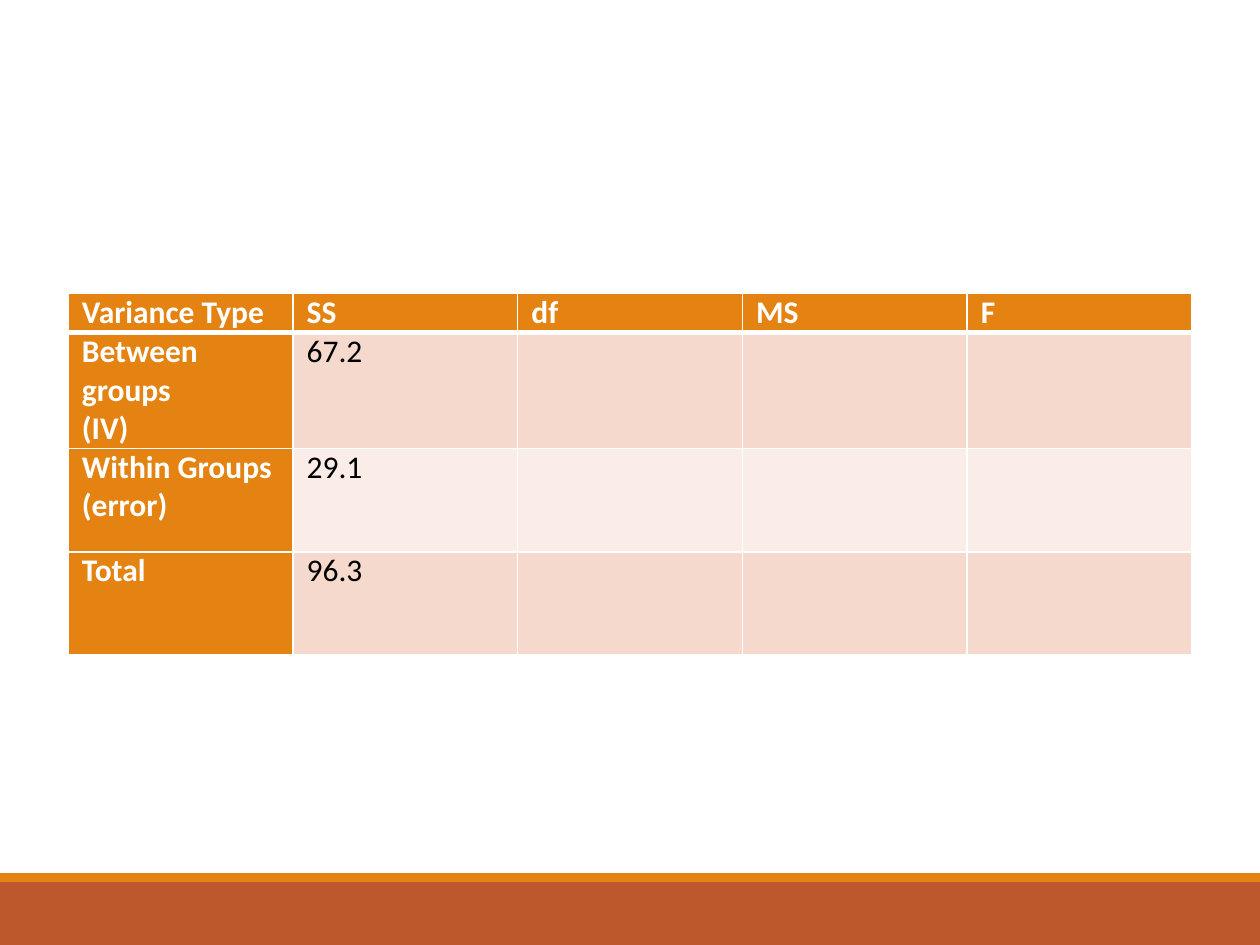
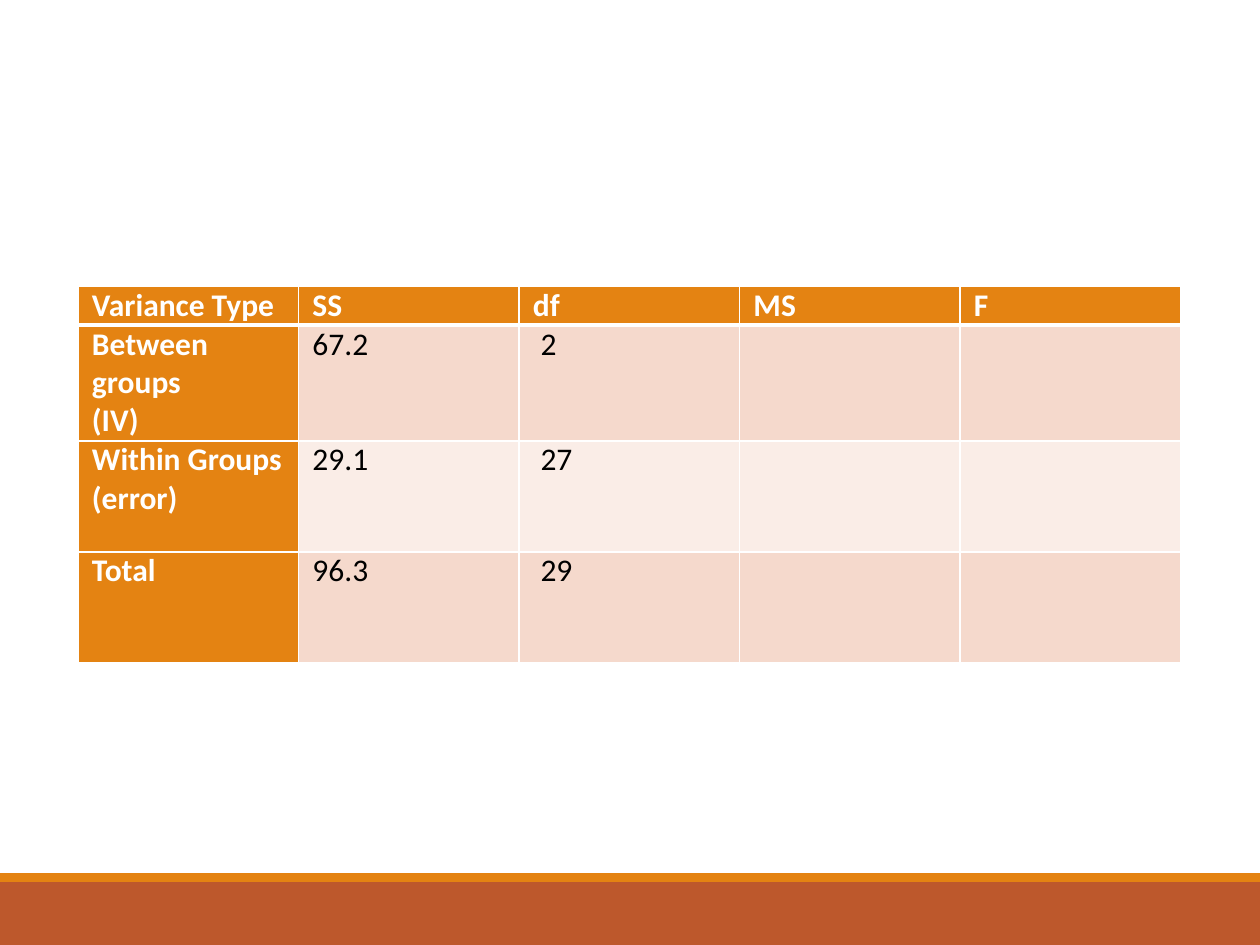
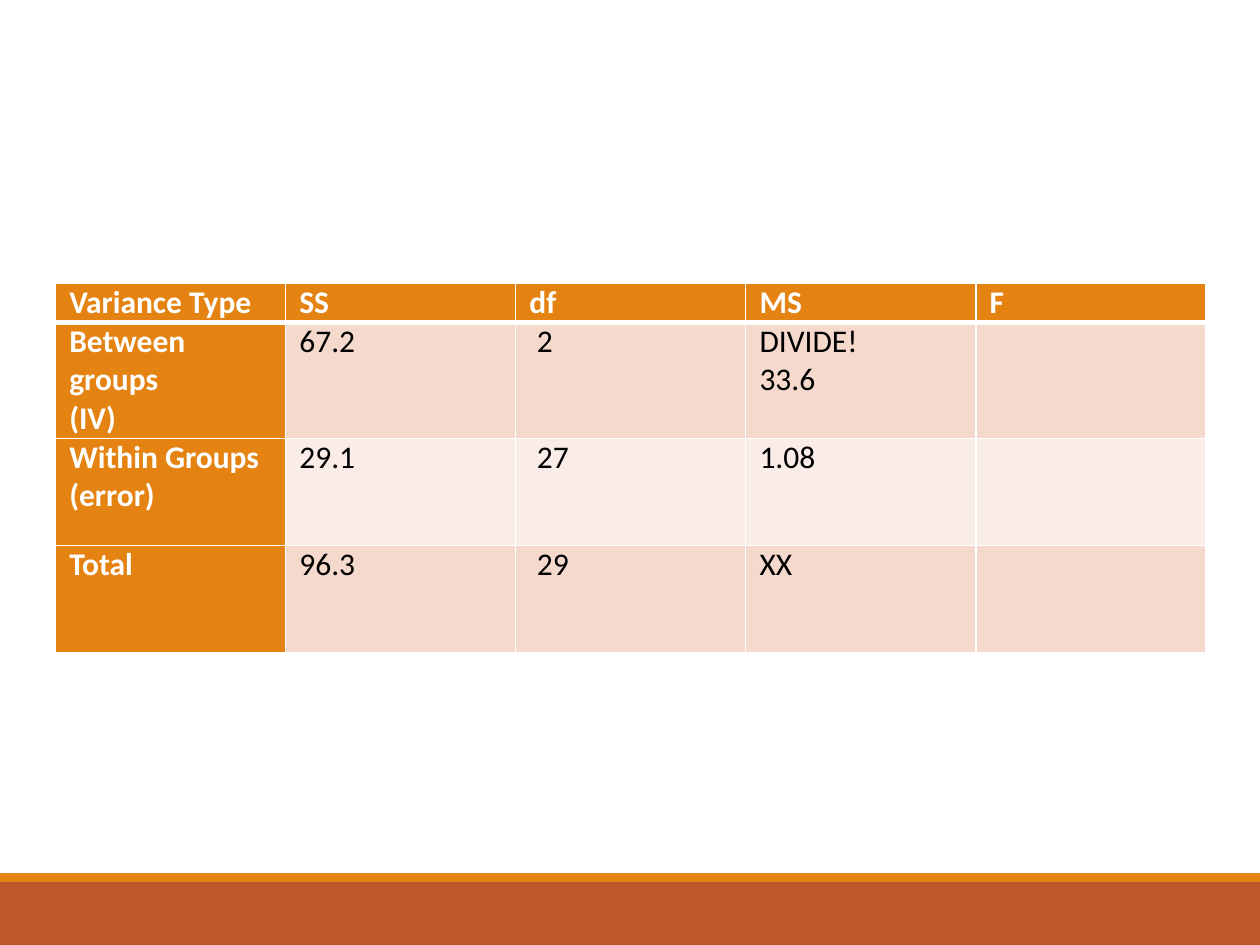
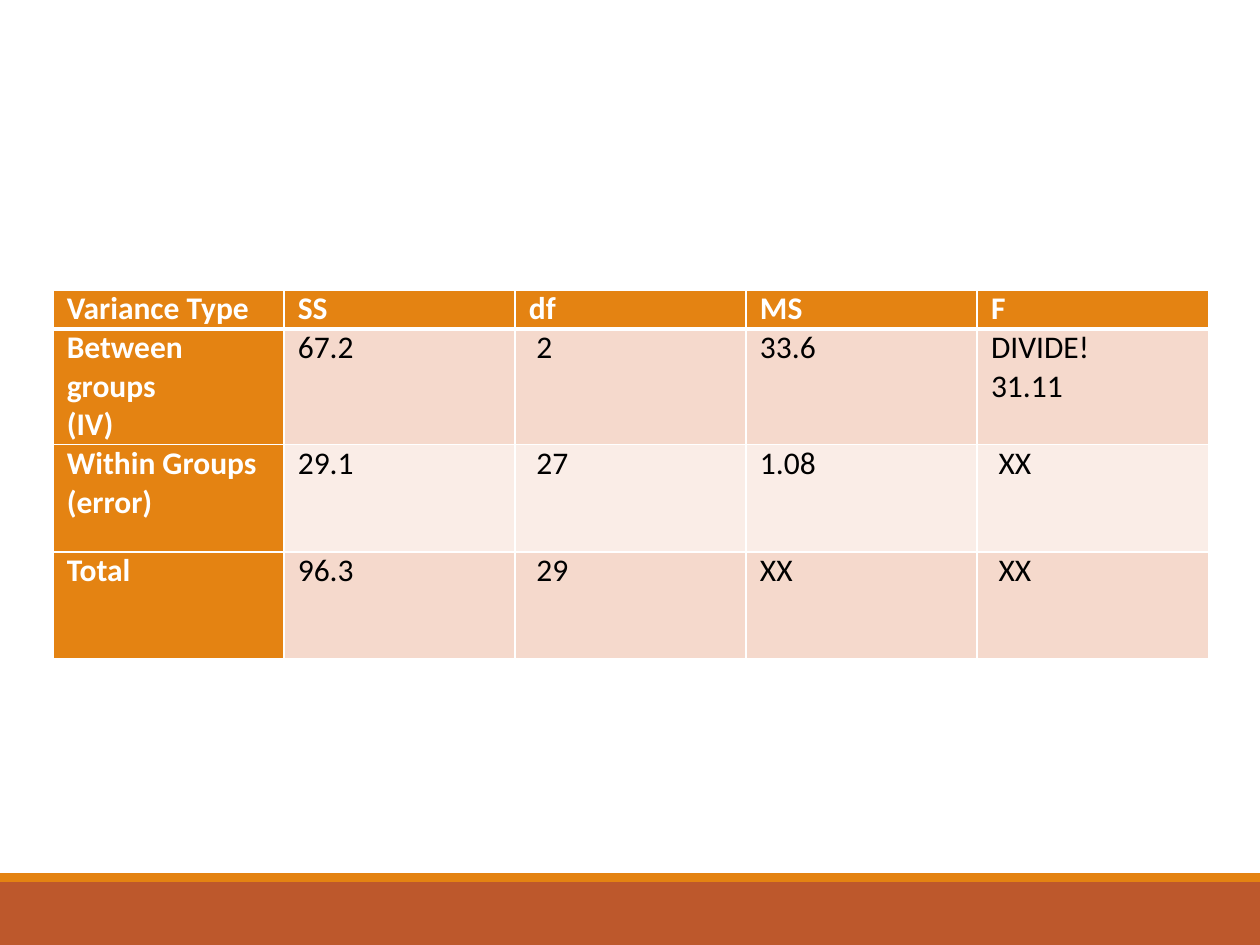
import dataclasses

import lxml.etree
import pptx
import pptx.dml.color
import pptx.enum.shapes
import pptx.oxml.ns
import pptx.util

Inches = pptx.util.Inches
rgb = pptx.dml.color.RGBColor.from_string


@dataclasses.dataclass(frozen=True)
class Theme:
    font: str = "Calibri"
    size: int = 18
    accent: str = "E48312"
    footer: str = "BD582C"
    dark_row: str = "F5D9CC"
    light_row: str = "FAEDE7"
    heading_text: str = "FFFFFF"
    value_text: str = "000000"
    border: str = "FFFFFF"
    border_width: int = 1
    header_rule: int = 3


@dataclasses.dataclass(frozen=True)
class Box:
    left: float
    top: float
    width: float
    row_height: float


THEME = Theme()
HEADER_HEIGHT, BETWEEN_HEIGHT = 0.31, 0.92
SIDE_MARGIN, VALUE_INDENT = 0.11, 0.06

HEADINGS = ["Variance Type", "SS", "df", "MS", "F"]
SOURCES = ["Between groups\n(IV)", "Within Groups\n(error)", "Total"]
SS = ["67.2", "29.1", "96.3"]
DF = ["2", "27", "29"]
MS = ["33.6", "1.08", "XX"]
MS_STEP = ["DIVIDE!\n33.6", "1.08", "XX"]
F_STEP = ["DIVIDE!\n31.11", "XX", "XX"]
UNSOLVED = [""] * 3

# Each slide fills in one more column of the ANOVA table
STEPS = [
    (Box(0.54, 2.33, 8.92, 0.82), [SS, UNSOLVED, UNSOLVED, UNSOLVED]),
    (Box(0.62, 2.27, 8.75, 0.88), [SS, DF, UNSOLVED, UNSOLVED]),
    (Box(0.44, 2.25, 9.13, 0.85), [SS, DF, MS_STEP, UNSOLVED]),
    (Box(0.42, 2.30, 9.17, 0.85), [SS, DF, MS, F_STEP]),
]


def add_master_bands(prs, slide):
    """Draw the footer bands and move them to the master, for all slides."""
    bands = [(7, 0.5, THEME.footer), (6.93, 0.07, THEME.accent)]
    for number, (top, height, color) in enumerate(bands):
        band = slide.shapes.add_shape(
            pptx.enum.shapes.MSO_SHAPE.RECTANGLE,
            0, Inches(top), prs.slide_width, Inches(height))
        band.shadow.inherit = False
        band.fill.solid()
        band.fill.fore_color.rgb = rgb(color)
        band.line.fill.background()
        band.element.nvSpPr.cNvPr.set("id", str(100 + number))
        prs.slide_master.shapes.element.append(band.element)


def set_borders(cell, top, bottom):
    qn = pptx.oxml.ns.qn
    properties = cell._tc.get_or_add_tcPr()
    widths = {"lnL": THEME.border_width, "lnR": THEME.border_width,
              "lnT": top, "lnB": bottom}
    for side, width in widths.items():
        line = lxml.etree.SubElement(
            properties, qn("a:" + side), w=str(pptx.util.Pt(width)))
        fill = lxml.etree.SubElement(line, qn("a:solidFill"))
        lxml.etree.SubElement(fill, qn("a:srgbClr"), val=THEME.border)


def fill_cell(cell, text, row, column):
    is_heading = row == 0 or column == 0
    set_borders(cell,
                top=THEME.header_rule if row == 1 else THEME.border_width,
                bottom=THEME.header_rule if row == 0 else THEME.border_width)

    # Background: accent headings, alternating value rows
    cell.fill.solid()
    stripe = THEME.dark_row if row % 2 else THEME.light_row
    cell.fill.fore_color.rgb = rgb(THEME.accent if is_heading else stripe)

    # Text: df values and the crossed-out F values sit slightly further in
    heading = HEADINGS[column]
    indented = not is_heading and (
        heading == "df" or (heading == "F" and text == "XX"))
    cell.margin_left = Inches(SIDE_MARGIN + VALUE_INDENT * indented)
    cell.margin_right = Inches(SIDE_MARGIN)
    cell.margin_top = cell.margin_bottom = 0
    cell.text = text
    for paragraph in cell.text_frame.paragraphs:
        font = paragraph.font
        font.name, font.size = THEME.font, pptx.util.Pt(THEME.size)
        font.bold = is_heading
        font.color.rgb = rgb(
            THEME.heading_text if is_heading else THEME.value_text)


def add_anova_table(slide, box, value_columns):
    rows = [HEADINGS, *zip(SOURCES, *value_columns)]
    heights = [HEADER_HEIGHT, BETWEEN_HEIGHT, box.row_height, box.row_height]
    table = slide.shapes.add_table(
        len(rows), len(HEADINGS), Inches(box.left), Inches(box.top),
        Inches(box.width), Inches(sum(heights))).table
    table.first_col = True
    for column in table.columns:
        column.width = Inches(box.width / len(HEADINGS))
    for r, (texts, height) in enumerate(zip(rows, heights)):
        table.rows[r].height = Inches(height)
        for c, text in enumerate(texts):
            fill_cell(table.cell(r, c), text, r, c)


def main():
    prs = pptx.Presentation()
    prs.slide_width, prs.slide_height = Inches(10), Inches(7.5)
    blank = prs.slide_layouts[6]
    for number, (box, value_columns) in enumerate(STEPS):
        slide = prs.slides.add_slide(blank)
        if number == 0:
            add_master_bands(prs, slide)
        add_anova_table(slide, box, value_columns)
    prs.save("out.pptx")


if __name__ == "__main__":
    main()
